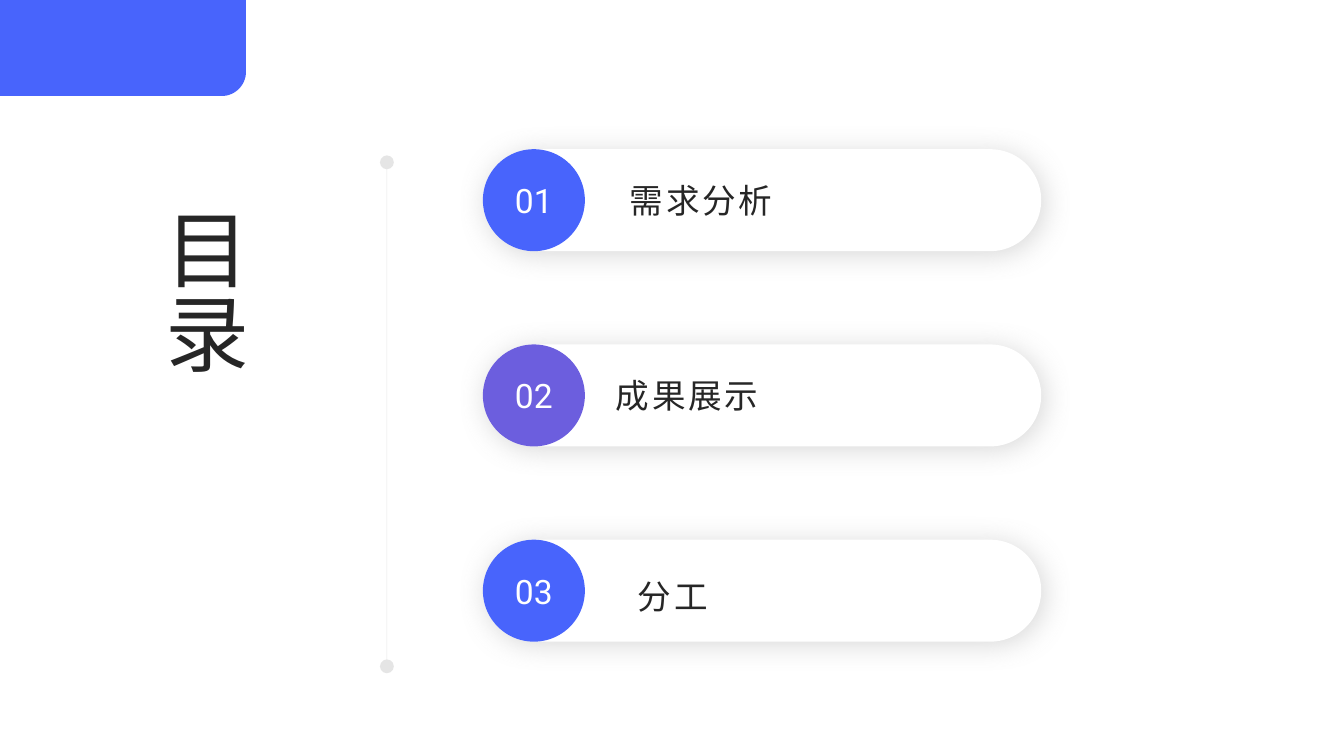
from math import cos, pi, sin

from lxml.etree import SubElement
from pptx import Presentation
from pptx.dml.color import RGBColor
from pptx.enum.shapes import MSO_CONNECTOR as Link, MSO_SHAPE as Shape
from pptx.enum.text import MSO_ANCHOR as Anchor, PP_ALIGN as Align
from pptx.oxml.ns import qn
from pptx.util import Cm, Pt

# Content: number, heading, badge colour, heading left and drop (cm)
TITLE = "目录"
CHAPTERS = [
    ("01", "需求分析", "blue", 15.62, 0),
    ("02", "成果展示", "violet", 15.27, 0),
    ("03", "分工", "blue", 15.82, 0.13),
]
COLORS = {"blue": "4864FC", "violet": "6C5EDE", "white": "FFFFFF",
          "ink": "262626", "gray": "808080"}
FONT = "Roboto"

# Layout in cm
PILL_LEFT, PILL_TOP, PILL_WIDTH, PILL_HEIGHT = 12.17, 3.76, 14.07, 2.57
PITCH = 4.92
HEADING_WIDTH = 10.64
TAB_LEFT, TAB_RIGHT, TAB_BOTTOM, TAB_RADIUS = -0.05, 6.2, 2.42, 0.61
RULE_X, RULE_TOP, RULE_BOTTOM = 9.75, 4.09, 16.79

BADGE_FRAME = {"margin_left": 0, "margin_right": 0, "margin_top": 0,
               "margin_bottom": 0, "word_wrap": False,
               "vertical_anchor": Anchor.MIDDLE}
HEADING_FRAME = {"margin_left": Cm(0.25), "margin_right": Cm(0.25),
                 "margin_top": 0, "margin_bottom": 0, "word_wrap": True,
                 "vertical_anchor": Anchor.MIDDLE}
TITLE_FRAME = {"word_wrap": True, "vertical_anchor": Anchor.MIDDLE}


def rgb(color):
    return RGBColor.from_string(COLORS[color])


def paint(shape, color):
    shape.shadow.inherit = False
    shape.fill.solid()
    shape.fill.fore_color.rgb = rgb(color)
    shape.line.fill.background()


def write(shape, text, size, color, frame_format, align=Align.LEFT, spacing=0):
    frame = shape.text_frame
    for name, value in frame_format.items():
        setattr(frame, name, value)
    paragraph = frame.paragraphs[0]
    paragraph.alignment = align
    run = paragraph.add_run()
    run.text = text
    run.font.size = Pt(size)
    run.font.name = FONT
    run.font.color.rgb = rgb(color)
    properties = run.font._element
    SubElement(properties, qn("a:ea"), typeface=FONT)
    if spacing:
        properties.set("spc", str(spacing * 100))


def add_alpha(parent, percent):
    SubElement(parent, qn("a:alpha"), val=str(percent * 1000))


def cast_shadow(shape):
    effects = shape._element.spPr.find(qn("a:effectLst"))
    shadow = SubElement(effects, qn("a:outerShdw"), blurRad=str(Pt(20)),
                        dist=str(Pt(3)), dir=str(45 * 60000),
                        algn="tl", rotWithShape="0")
    add_alpha(SubElement(shadow, qn("a:srgbClr"), val=COLORS["gray"]), 30)


def main():
    deck = Presentation()
    deck.slide_width, deck.slide_height = Cm(33.87), Cm(19.05)
    slide = deck.slides.add_slide(deck.slide_layouts[6])
    shapes = slide.shapes
    slide.background.fill.solid()
    slide.background.fill.fore_color.rgb = rgb("white")

    # Vertical rule with round ends
    rule = shapes.add_connector(Link.STRAIGHT, Cm(RULE_X), Cm(RULE_TOP),
                                Cm(RULE_X), Cm(RULE_BOTTOM))
    rule.line.width = Pt(0.5)
    rule.line.color.rgb = rgb("gray")
    stroke = rule.line._get_or_add_ln()
    add_alpha(stroke.find(".//" + qn("a:srgbClr")), 20)
    for end in ("a:headEnd", "a:tailEnd"):
        SubElement(stroke, qn(end), type="oval", w="lg", len="lg")
    SubElement(rule._element.spPr, qn("a:effectLst"))

    # Corner tab, rounded at the lower right
    steps = 16
    corner = [(TAB_RIGHT - TAB_RADIUS * (1 - cos(pi / 2 * i / steps)),
               TAB_BOTTOM - TAB_RADIUS * (1 - sin(pi / 2 * i / steps)))
              for i in range(steps + 1)]
    outline = [(TAB_RIGHT, 0), *corner, (TAB_LEFT, TAB_BOTTOM)]
    builder = shapes.build_freeform(Cm(TAB_LEFT), 0)
    builder.add_line_segments([(Cm(x), Cm(y)) for x, y in outline], close=True)
    paint(builder.convert_to_shape(), "blue")

    # Vertical title
    title = shapes.add_textbox(Cm(3.25), Cm(4.98), Cm(3.81), Cm(10))
    write(title, TITLE, 60, "ink", TITLE_FRAME)
    title.text_frame._txBody.bodyPr.set("vert", "eaVert")

    # Chapters: pill, numbered badge, heading
    for row, (number, heading, color, left, drop) in enumerate(CHAPTERS):
        top = PILL_TOP + row * PITCH
        pill = shapes.add_shape(Shape.ROUNDED_RECTANGLE, Cm(PILL_LEFT), Cm(top),
                                Cm(PILL_WIDTH), Cm(PILL_HEIGHT))
        pill.adjustments[0] = 0.5
        paint(pill, "white")
        cast_shadow(pill)

        badge = shapes.add_shape(Shape.OVAL, Cm(PILL_LEFT), Cm(top),
                                 Cm(PILL_HEIGHT), Cm(PILL_HEIGHT))
        paint(badge, color)
        write(badge, number, 24, "white", BADGE_FRAME, Align.CENTER)

        label = shapes.add_textbox(Cm(left), Cm(top + drop),
                                   Cm(HEADING_WIDTH), Cm(PILL_HEIGHT))
        write(label, heading, 24, "ink", HEADING_FRAME, spacing=2)

    deck.save("out.pptx")


if __name__ == "__main__":
    main()
